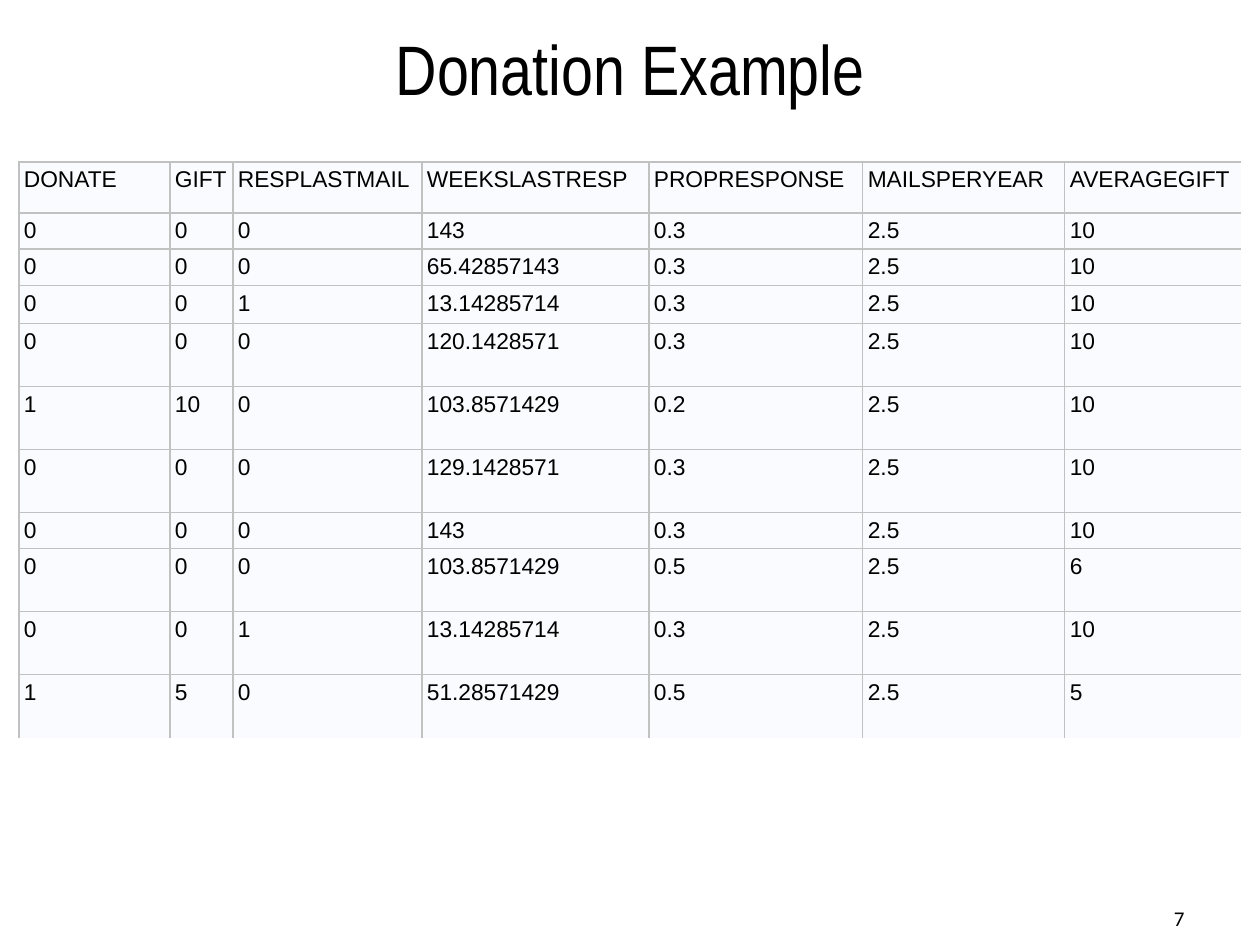
from lxml import etree
from pptx import Presentation
from pptx import util as u
from pptx.dml.color import RGBColor
from pptx.enum import text
from pptx.oxml import ns

PX = 914400 / 126
BLACK = RGBColor(0x00, 0x00, 0x00)
CELL_FILL = RGBColor(0xFA, 0xFB, 0xFE)
BORDER = RGBColor(0xC1, 0xC1, 0xC1)

COLUMN_WIDTHS = [151, 63, 189, 227, 214, 202, 176]
ROW_HEIGHTS = [51, 36, 37, 38, 63, 63, 63, 36, 63, 63, 63]
DONATIONS = [
    ["DONATE", "GIFT", "RESPLASTMAIL", "WEEKSLASTRESP",
     "PROPRESPONSE", "MAILSPERYEAR", "AVERAGEGIFT"],
    ["0", "0", "0", "143", "0.3", "2.5", "10"],
    ["0", "0", "0", "65.42857143", "0.3", "2.5", "10"],
    ["0", "0", "1", "13.14285714", "0.3", "2.5", "10"],
    ["0", "0", "0", "120.1428571", "0.3", "2.5", "10"],
    ["1", "10", "0", "103.8571429", "0.2", "2.5", "10"],
    ["0", "0", "0", "129.1428571", "0.3", "2.5", "10"],
    ["0", "0", "0", "143", "0.3", "2.5", "10"],
    ["0", "0", "0", "103.8571429", "0.5", "2.5", "6"],
    ["0", "0", "1", "13.14285714", "0.3", "2.5", "10"],
    ["1", "5", "0", "51.28571429", "0.5", "2.5", "5"],
]


def emu(px):
    return u.Emu(round(px * PX))


class SlideBuilder:
    """Holds the fonts and the slide being filled."""
    title_font = "Arial Narrow"
    table_font = "Arial"
    number_font = "Calibri"

    def __init__(self, presentation):
        self.slide = presentation.slides.add_slide(presentation.slide_layouts[5])

    def add_run(self, paragraph, wording, font_name, size):
        run = paragraph.add_run()
        run.text = wording
        run.font.name = font_name
        run.font.size = u.Pt(size)
        run.font.bold = False
        run.font.color.rgb = BLACK

    def title(self, wording, left, top, width, height):
        shape = self.slide.shapes.title
        shape.left, shape.top = emu(left), emu(top)
        shape.width, shape.height = emu(width), emu(height)
        frame = shape.text_frame
        frame.vertical_anchor = text.MSO_ANCHOR.MIDDLE
        paragraph = frame.paragraphs[0]
        paragraph.alignment = text.PP_ALIGN.CENTER
        self.add_run(paragraph, wording, self.title_font, 40)

    def page_number(self, wording, left, top, width, height):
        shape = self.slide.shapes.add_textbox(
            emu(left), emu(top), emu(width), emu(height))
        frame = shape.text_frame
        frame.word_wrap = True
        frame.vertical_anchor = text.MSO_ANCHOR.MIDDLE
        paragraph = frame.paragraphs[0]
        paragraph.alignment = text.PP_ALIGN.RIGHT
        self.add_run(paragraph, wording, self.number_font, 12)

    def table(self, rows, left, top, widths, heights):
        """Draw a grid that is open along its right and bottom edges."""
        table = self.slide.shapes.add_table(
            len(rows), len(widths), emu(left), emu(top),
            emu(sum(widths)), emu(sum(heights))).table
        table.first_row = table.horz_banding = False
        for column, width in zip(table.columns, widths):
            column.width = emu(width)
        for row, height in zip(table.rows, heights):
            row.height = emu(height)
        for i, values in enumerate(rows):
            for j, value in enumerate(values):
                cell = table.cell(i, j)
                open_sides = {"R"} if j == len(widths) - 1 else set()
                if i == len(rows) - 1:
                    open_sides.add("B")
                self.cell_borders(cell, open_sides)
                self.fill_cell(cell, value)

    def fill_cell(self, cell, value):
        cell.fill.solid()
        cell.fill.fore_color.rgb = CELL_FILL
        cell.margin_left = cell.margin_right = emu(5)
        cell.margin_top = cell.margin_bottom = emu(5)
        cell.vertical_anchor = text.MSO_ANCHOR.TOP
        self.add_run(cell.text_frame.paragraphs[0], value, self.table_font, 13)

    def cell_borders(self, cell, open_sides):
        properties = cell._tc.get_or_add_tcPr()
        for side in "LRTB":
            line = etree.SubElement(
                properties, ns.qn(f"a:ln{side}"), w=str(u.Pt(0.75)))
            if side in open_sides:
                etree.SubElement(line, ns.qn("a:noFill"))
            else:
                fill = etree.SubElement(line, ns.qn("a:solidFill"))
                etree.SubElement(fill, ns.qn("a:srgbClr"), val=str(BORDER))


def main():
    presentation = Presentation()
    presentation.slide_width = emu(1260)
    presentation.slide_height = emu(945)
    builder = SlideBuilder(presentation)
    builder.title("Donation Example", 63, 0, 1134, 135)
    builder.table(DONATIONS, 19, 162, COLUMN_WIDTHS, ROW_HEIGHTS)
    builder.page_number("7", 903, 893, 294, 50)
    presentation.save("out.pptx")


if __name__ == "__main__":
    main()
